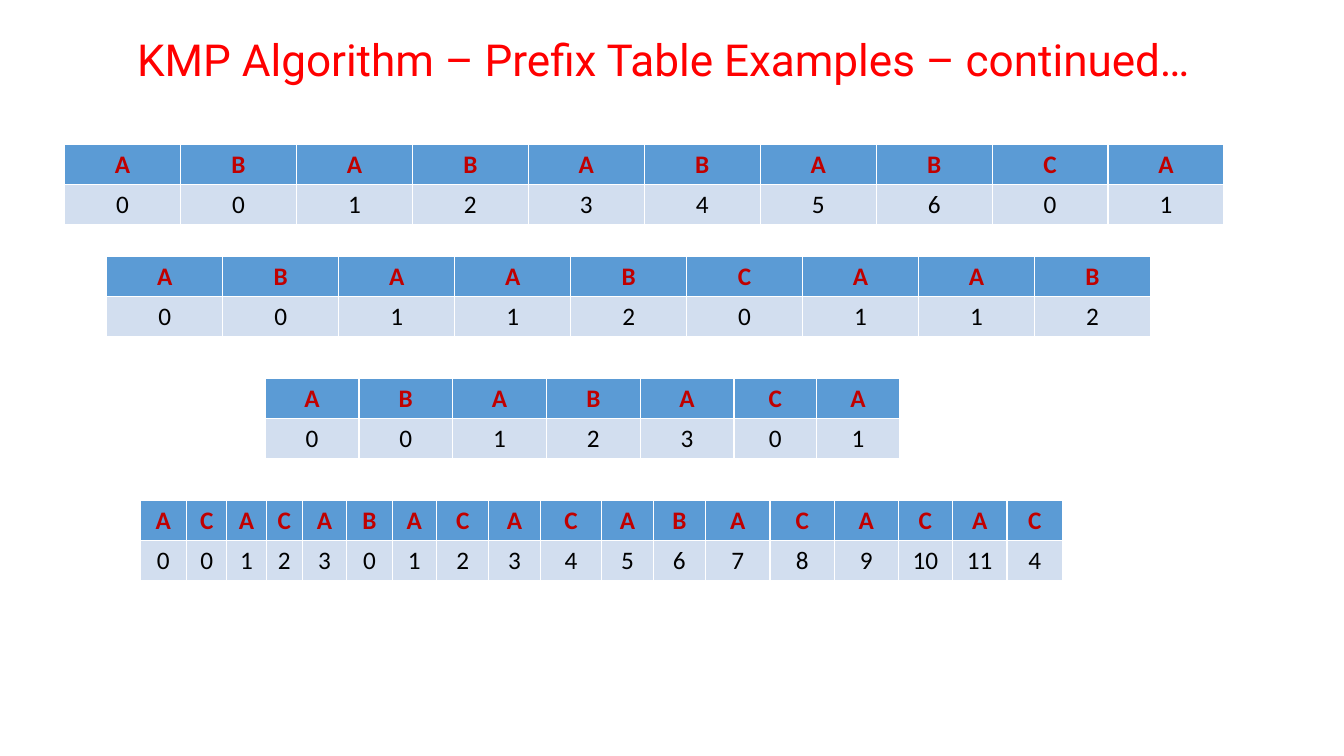
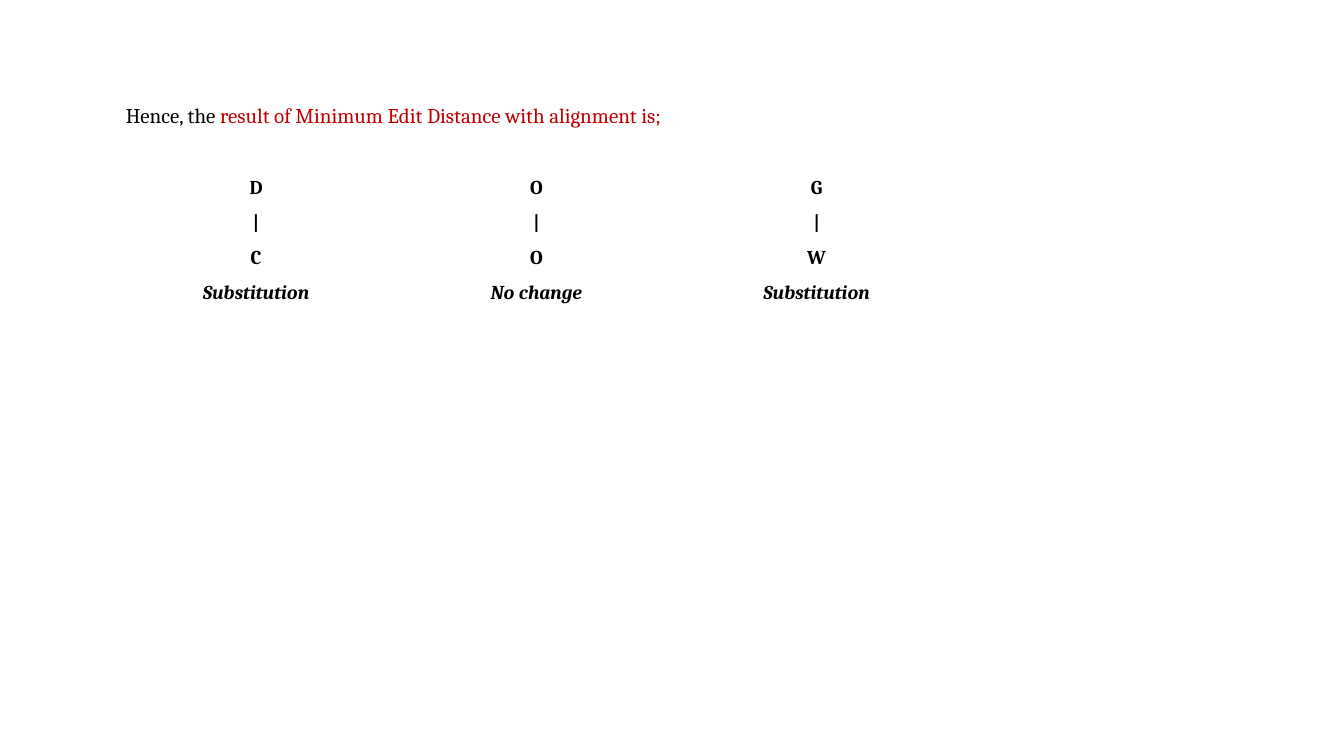
from pptx import Presentation
from pptx.dml.color import RGBColor
from pptx.enum.text import MSO_ANCHOR, PP_ALIGN
from pptx.util import Inches, Pt

RED = RGBColor(0xFF, 0x00, 0x00)
DARK_RED = RGBColor(0xC0, 0x00, 0x00)
BLACK = RGBColor(0x00, 0x00, 0x00)
HEADER_BLUE = RGBColor(0x5B, 0x9B, 0xD5)
PALE_BLUE = RGBColor(0xD2, 0xDE, 0xEF)
CENTER = PP_ALIGN.CENTER
MIDDLE = MSO_ANCHOR.MIDDLE

presentation = Presentation()
presentation.slide_width = Inches(13.33)
presentation.slide_height = Inches(7.5)
COLUMN = presentation.slide_width // 1333
ROW = presentation.slide_height // 750
blank_layout = presentation.slide_layouts[6]


def add_run(paragraph, text, font_name, size, color, bold=False, italic=False):
    run = paragraph.add_run()
    run.text = text
    run.font.name = font_name
    run.font.size = Pt(size)
    run.font.color.rgb = color
    run.font.bold = bold
    run.font.italic = italic


def add_grid(slide, left, top, widths, row_height, row_count):
    shape = slide.shapes.add_table(
        row_count, len(widths), left * COLUMN, top * ROW,
        sum(widths) * COLUMN, row_count * row_height * ROW)
    for table_column, width in zip(shape.table.columns, widths):
        table_column.width = width * COLUMN
    return shape.table


prefix_slide = presentation.slides.add_slide(blank_layout)
title = prefix_slide.shapes.add_textbox(83 * COLUMN, 45 * ROW, 1150 * COLUMN, 33 * ROW)
title.text_frame.word_wrap = True
title.text_frame.vertical_anchor = MIDDLE
paragraph = title.text_frame.paragraphs[0]
paragraph.alignment = CENTER
paragraph.line_spacing = 0.9
add_run(paragraph, "KMP Algorithm – Prefix Table Examples – continued…", "Roboto", 31.5, RED)

LONG_WIDTHS = [46, 40, 39, 36, 44, 45, 44, 52, 51, 61, 51, 52, 64, 64, 63, 54, 54, 55]
PREFIX_TABLES = [
    (64, 143, [115] * 10, "ABABABABCA", [0, 0, 1, 2, 3, 4, 5, 6, 0, 1]),
    (106, 254, [115] * 9, "ABAABCAAB", [0, 0, 1, 1, 2, 0, 1, 1, 2]),
    (263, 375, [93] * 5 + [82, 82], "ABABACA", [0, 0, 1, 2, 3, 0, 1]),
    (139, 496, LONG_WIDTHS, "ACACABACACABACACAC",
     [0, 0, 1, 2, 3, 0, 1, 2, 3, 4, 5, 6, 7, 8, 9, 10, 11, 4]),
]
for left, top, widths, pattern, prefix_lengths in PREFIX_TABLES:
    table = add_grid(prefix_slide, left, top, widths, 40, 2)
    row_styles = [(pattern, HEADER_BLUE, DARK_RED, True),
                  (prefix_lengths, PALE_BLUE, BLACK, False)]
    for row_index, (values, fill_color, text_color, bold) in enumerate(row_styles):
        for column_index, value in enumerate(values):
            cell = table.cell(row_index, column_index)
            cell.fill.solid()
            cell.fill.fore_color.rgb = fill_color
            paragraph = cell.text_frame.paragraphs[0]
            paragraph.alignment = CENTER
            add_run(paragraph, str(value), "Calibri", 18, text_color, bold)

alignment_slide = presentation.slides.add_slide(blank_layout)
ALIGNMENT_ROWS = [
    ("D", "O", "G"),
    ("|", "|", "|"),
    ("C", "O", "W"),
    ("Substitution", "No change", "Substitution"),
]
table = add_grid(alignment_slide, 115, 175, [278] * 3, 35, len(ALIGNMENT_ROWS))
table.first_row = False
table.horz_banding = False
for row_index, values in enumerate(ALIGNMENT_ROWS):
    for column_index, value in enumerate(values):
        cell = table.cell(row_index, column_index)
        cell.fill.background()
        cell.margin_left = cell.margin_right = Inches(0.07)
        cell.margin_top = cell.margin_bottom = 0
        paragraph = cell.text_frame.paragraphs[0]
        paragraph.alignment = CENTER
        paragraph.space_before = paragraph.space_after = Pt(6)
        is_label = row_index == len(ALIGNMENT_ROWS) - 1
        add_run(paragraph, value, "Cambria", 14, BLACK, True, is_label)

result = alignment_slide.shapes.add_textbox(115 * COLUMN, 88 * ROW, 603 * COLUMN, 70 * ROW)
result.text_frame.word_wrap = False
result.text_frame.margin_top = Inches(0.14)
paragraph = result.text_frame.paragraphs[0]
add_run(paragraph, "Hence, the ", "Cambria", 15, BLACK)
add_run(paragraph, "result of Minimum Edit Distance with alignment is;", "Cambria", 15, DARK_RED)

presentation.save("out.pptx")
